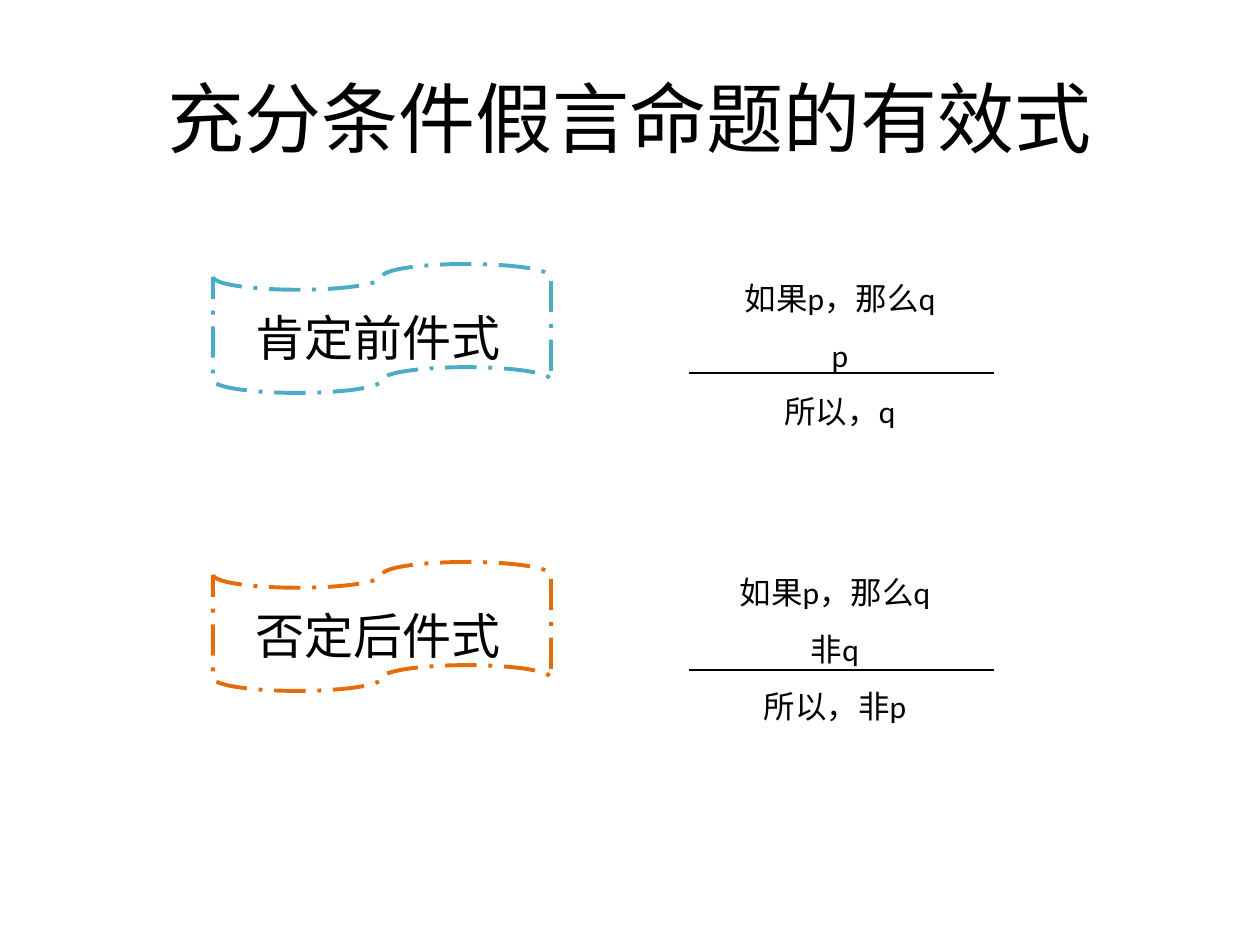
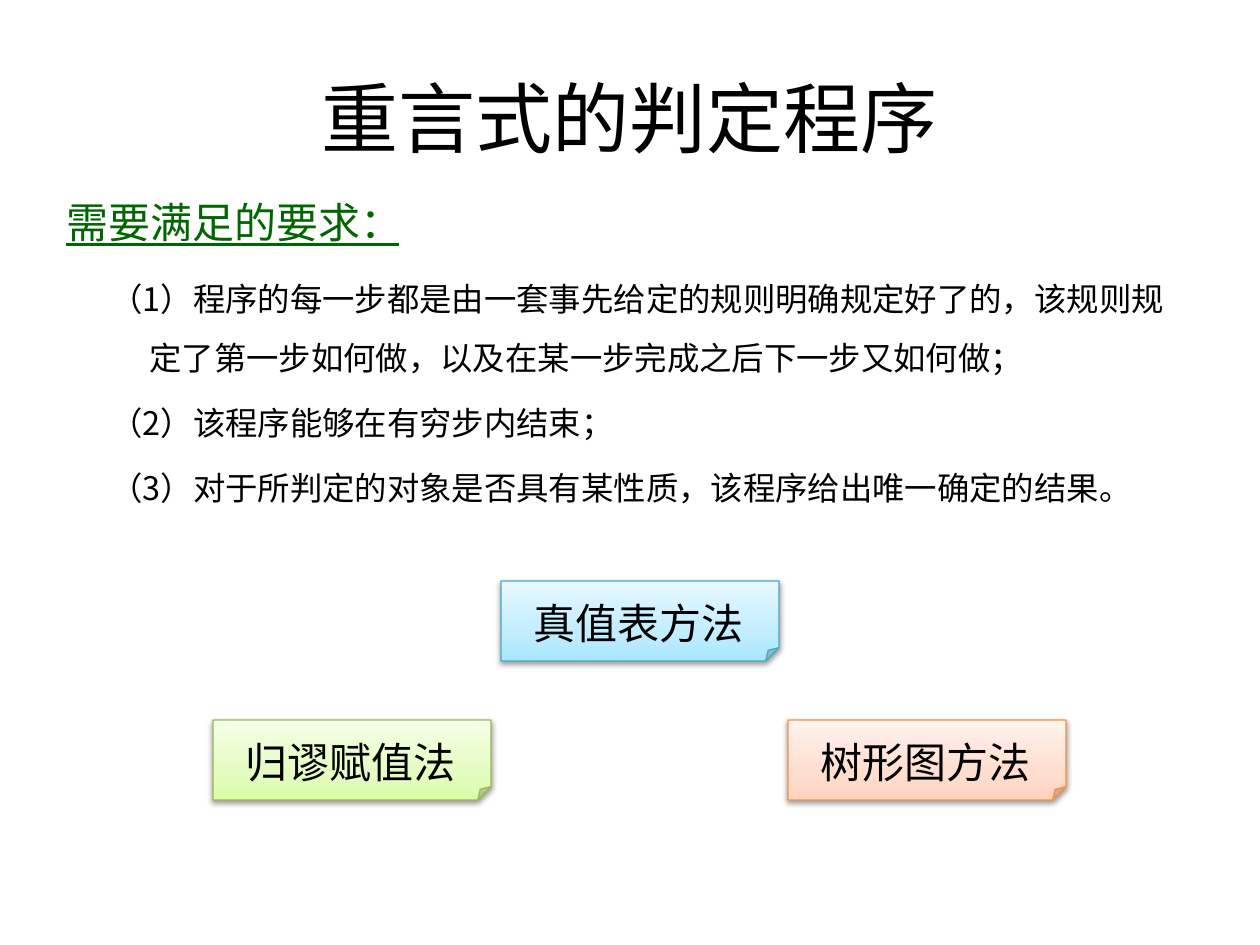
from dataclasses import dataclass

from lxml.etree import SubElement
from pptx import Presentation
from pptx.dml.color import RGBColor
from pptx.enum.dml import MSO_LINE
from pptx.enum.shapes import MSO_CONNECTOR, MSO_SHAPE
from pptx.enum.text import MSO_ANCHOR, MSO_AUTO_SIZE, PP_ALIGN
from pptx.oxml.ns import qn
from pptx.util import Pt

EMU_PER_PX = 914400 / 126


def px(length):
    return round(length * EMU_PER_PX)


@dataclass(frozen=True)
class Theme:
    ink: str = "000000"
    paper: str = "FFFFFF"
    heading: str = "006600"
    teal: str = "4BACC6"
    orange: str = "E46C0A"
    # Notes: outline, then gradient stops from bottom to top
    blue_note: tuple = ("46AAC5", "A7E6FF", "C1EDFF", "E7F8FF")
    green_note: tuple = ("98B955", "DAFDA7", "E4FCC2", "F5FFE7")
    peach_note: tuple = ("F69240", "FFD2BD", "FFDED0", "FFF2ED")
    gradient_stops: tuple = (0, 35, 100)
    title_font: str = "Noto Sans CJK JP"
    text_font: str = "Noto Sans CJK SC"
    formula_font: str = "Calibri"
    title_size: float = 44
    label_size: float = 28
    heading_size: float = 24
    rule_size: float = 18.5
    formula_size: float = 18


class Deck:
    def __init__(self, theme):
        self.theme = theme
        self.presentation = Presentation()
        self.presentation.slide_width = px(1260)
        self.presentation.slide_height = px(945)
        self.slide = None

    def add_slide(self, title):
        self.slide = self.presentation.slides.add_slide(
            self.presentation.slide_layouts[6])
        self.text([title], (63, 38, 1134, 157), self.theme.title_size,
                  font=self.theme.title_font, align=PP_ALIGN.CENTER,
                  anchor=MSO_ANCHOR.MIDDLE, grow=False)

    def text(self, lines, box, size, font=None, color=None, underline=None,
             align=PP_ALIGN.LEFT, anchor=MSO_ANCHOR.TOP, grow=True,
             margin=0, indent=0, spacing=None, gap=0):
        """Add one paragraph per line; gap is the space between them in points."""
        frame = self.slide.shapes.add_textbox(*map(px, box)).text_frame
        frame.word_wrap = True
        frame.vertical_anchor = anchor
        frame.auto_size = (MSO_AUTO_SIZE.SHAPE_TO_FIT_TEXT if grow
                           else MSO_AUTO_SIZE.NONE)
        for index, line in enumerate(lines):
            paragraph = frame.add_paragraph() if index else frame.paragraphs[0]
            paragraph.text = line
            paragraph.alignment = align
            if spacing:
                paragraph.line_spacing = spacing
            if index and gap:
                paragraph.space_before = Pt(gap)
            properties = paragraph._p.get_or_add_pPr()
            if margin:
                properties.set("marL", str(px(margin)))
                properties.set("indent", str(px(indent)))
            self.style_font(paragraph, size, font or self.theme.text_font,
                            color or self.theme.ink, underline)

    def style_font(self, paragraph, size, name, color, underline):
        font = paragraph.font
        font.size = Pt(size)
        font.name = name
        font.underline = underline
        font.color.rgb = RGBColor.from_string(color)
        defaults = paragraph._p.pPr.find(qn("a:defRPr"))
        SubElement(defaults, qn("a:ea")).set("typeface", name)

    def shape(self, preset, box, outline, width):
        shape = self.slide.shapes.add_shape(preset, *map(px, box))
        shape.shadow.inherit = False
        shape.line.color.rgb = RGBColor.from_string(outline)
        shape.line.width = Pt(width)
        return shape

    def tape(self, label, left, top, outline):
        tape = self.shape(MSO_SHAPE.FLOWCHART_PUNCHED_TAPE,
                          (left, top, 338, 129), outline, 2.25)
        tape.fill.solid()
        tape.fill.fore_color.rgb = RGBColor.from_string(self.theme.paper)
        tape.line.dash_style = MSO_LINE.LONG_DASH_DOT
        self.text([label], (left + 30, top + 37, 338, 72),
                  self.theme.label_size)

    def note(self, label, left, top, colors):
        outline, *stops = colors
        note = self.shape(MSO_SHAPE.FOLDED_CORNER, (left, top, 278, 80),
                          outline, 0.75)
        self.gradient(note, stops)
        self.drop_shadow(note)
        self.text([label], (left + 20, top + 10, 317, 63),
                  self.theme.heading_size)

    def gradient(self, shape, colors):
        shape.fill.gradient()
        shape.fill.gradient_angle = 90
        stop_list = shape._element.spPr.find(".//" + qn("a:gsLst"))
        for old_stop in list(stop_list):
            stop_list.remove(old_stop)
        for percent, color in zip(self.theme.gradient_stops, colors):
            stop = SubElement(stop_list, qn("a:gs"), pos=str(percent * 1000))
            SubElement(stop, qn("a:srgbClr"), val=color)

    def drop_shadow(self, shape):
        effects = shape._element.spPr.find(qn("a:effectLst"))
        shadow = SubElement(effects, qn("a:outerShdw"), blurRad="40000",
                            dist="20000", dir="5400000", rotWithShape="0")
        color = SubElement(shadow, qn("a:srgbClr"), val=self.theme.ink)
        SubElement(color, qn("a:alpha"), val="38000")

    def inference(self, lines, box, rule_top):
        """Add premises and conclusion with the inference line between them."""
        self.text(lines, box, self.theme.formula_size,
                  font=self.theme.formula_font, align=PP_ALIGN.CENTER,
                  margin=63, spacing=1.5)
        rule = self.slide.shapes.add_connector(
            MSO_CONNECTOR.STRAIGHT,
            px(689), px(rule_top), px(994), px(rule_top))
        rule.line.color.rgb = RGBColor.from_string(self.theme.ink)
        rule.line.width = Pt(0.75)
        SubElement(rule._element.spPr, qn("a:effectLst"))


def add_valid_forms(deck):
    theme = deck.theme
    deck.add_slide("充分条件假言命题的有效式")
    deck.inference(["如果p，那么q", "p", "所以，q"],
                   (630, 254, 357, 223), 373)
    deck.inference(["如果p，那么q", "非q", "所以，非p"],
                   (620, 548, 367, 223), 670)
    deck.tape("肯定前件式", 213, 264, theme.teal)
    deck.tape("否定后件式", 213, 562, theme.orange)


def add_decision_procedure(deck):
    theme = deck.theme
    deck.add_slide("重言式的判定程序")
    requirements = [
        "（1）程序的每一步都是由一套事先给定的规则明确规定好了的，该规则"
        "规定了第一步如何做，以及在某一步完成之后下一步又如何做；",
        "（2）该程序能够在有穷步内结束；",
        "（3）对于所判定的对象是否具有某性质，该程序给出唯一确定的结果。",
    ]
    deck.text(requirements, (35, 254, 1150, 287), theme.rule_size, grow=False,
              margin=102, indent=-39, spacing=1.5, gap=4)
    deck.text(["需要满足的要求："], (54, 190, 357, 63), theme.heading_size,
              color=theme.heading, underline=True)
    for method, left, top, colors in (
            ("真值表方法", 501, 581, theme.blue_note),
            ("归谬赋值法", 213, 720, theme.green_note),
            ("树形图方法", 788, 720, theme.peach_note)):
        deck.note(method, left, top, colors)


def main():
    deck = Deck(Theme())
    add_valid_forms(deck)
    add_decision_procedure(deck)
    deck.presentation.save("out.pptx")


if __name__ == "__main__":
    main()
